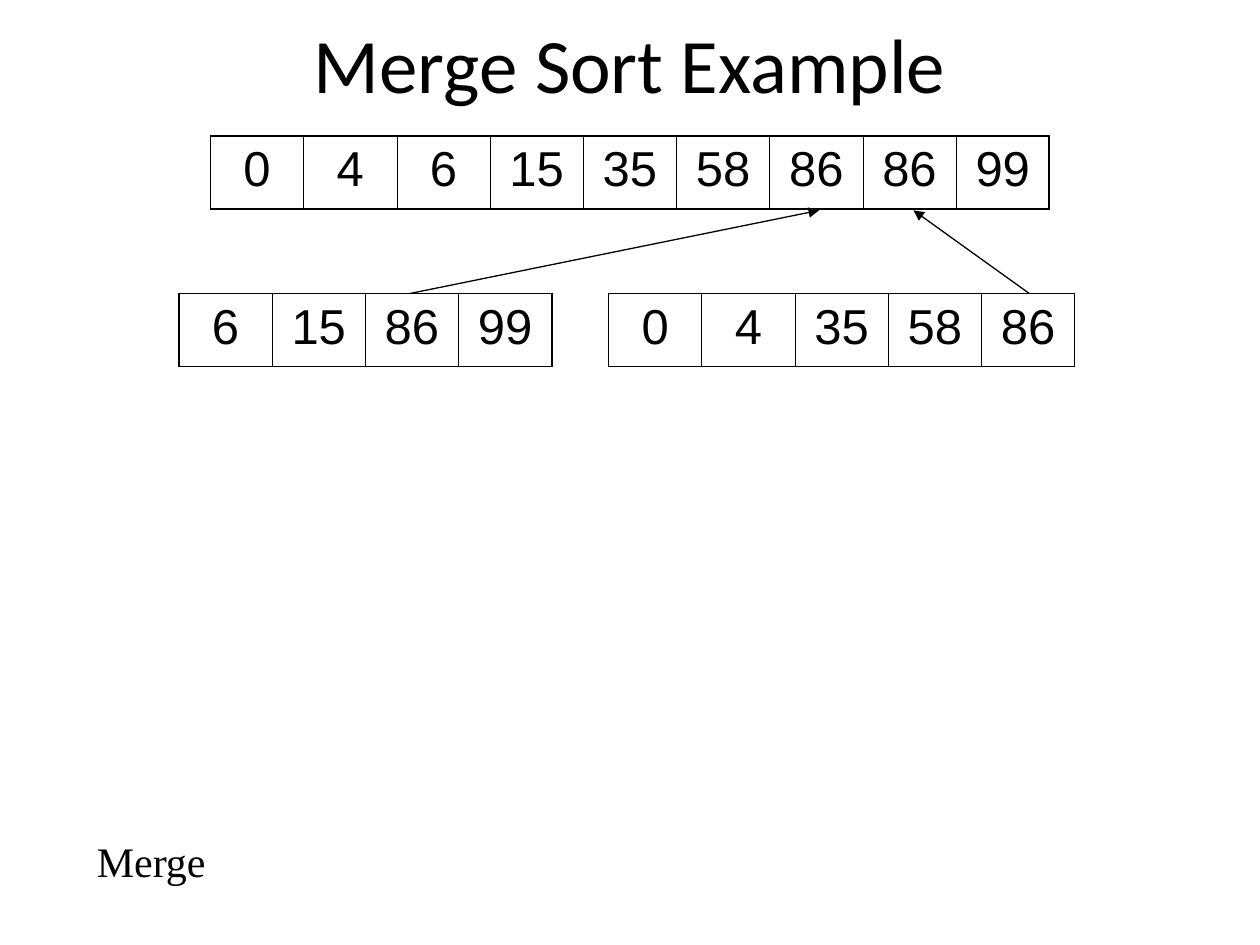
"""Build the merge sort example slide."""
from lxml.etree import SubElement
from pptx import Presentation
from pptx.dml.color import RGBColor
from pptx.enum.shapes import MSO_CONNECTOR
from pptx.enum.text import MSO_ANCHOR, PP_ALIGN
from pptx.oxml.ns import qn
from pptx.util import Inches, Pt

COLORS = {"ink": "000000"}
TITLE = "Merge Sort Example"
STEP = "Merge"
ARRAYS = [
    (1.67, 1.08, [0, 4, 6, 15, 35, 58, 86, 86, 99]),
    (1.42, 2.33, [6, 15, 86, 99]),
    (4.83, 2.33, [0, 4, 35, 58, 86]),
]
ARROWS = [((3.25, 2.33), (6.5, 1.67)), ((8.17, 2.33), (7.25, 1.67))]
CELL_WIDTH, CELL_HEIGHT = 0.74, 0.58
THIN, THICK = 0.45, 1.08


def write(frame, text, font, size, align):
    para = frame.paragraphs[0]
    para.alignment = align
    span = para.add_run()
    span.text = text
    span.font.name = font
    span.font.size = Pt(size)
    span.font.color.rgb = RGBColor.from_string(COLORS["ink"])


def add_border(cell, side, width):
    line = SubElement(cell._tc.get_or_add_tcPr(), qn(f"a:ln{side}"), w=str(Pt(width)))
    fill = SubElement(line, qn("a:solidFill"))
    SubElement(fill, qn("a:srgbClr"), val=COLORS["ink"])


def add_array(page, left, top, values):
    count = len(values)
    table = page.shapes.add_table(
        1, count, Inches(left), Inches(top),
        Inches(CELL_WIDTH * count), Inches(CELL_HEIGHT),
    ).table
    table.first_row = table.horz_banding = False
    for index, value in enumerate(values):
        table.columns[index].width = Inches(CELL_WIDTH)
        cell = table.cell(0, index)
        write(cell.text_frame, str(value), "Arial", 28, PP_ALIGN.CENTER)
        add_border(cell, "L", THICK if index == 0 else THIN)
        add_border(cell, "R", THICK if index == count - 1 else THIN)
        add_border(cell, "T", THICK)
        add_border(cell, "B", THICK)
        cell.fill.background()


def add_arrow(page, start, end):
    points = [Inches(value) for value in (*start, *end)]
    arrow = page.shapes.add_connector(MSO_CONNECTOR.STRAIGHT, *points)
    arrow.line.color.rgb = RGBColor.from_string(COLORS["ink"])
    arrow.line.width = Pt(0.75)
    SubElement(arrow.line._get_or_add_ln(), qn("a:tailEnd"), type="triangle")
    SubElement(arrow._element.spPr, qn("a:effectLst"))


def main():
    deck = Presentation()
    deck.slide_width, deck.slide_height = Inches(10), Inches(7.5)
    page = deck.slides.add_slide(deck.slide_layouts[5])

    title = page.shapes.title
    title.left, title.top = Inches(0.75), Inches(0)
    title.width, title.height = Inches(8.5), Inches(1)
    title.text_frame.vertical_anchor = MSO_ANCHOR.MIDDLE
    write(title.text_frame, TITLE, "Calibri", 44, PP_ALIGN.CENTER)

    for left, top, values in ARRAYS:
        add_array(page, left, top, values)

    box = page.shapes.add_textbox(Inches(0.67), Inches(6.58), Inches(5.08), Inches(0.5))
    box.text_frame.word_wrap = True
    write(box.text_frame, STEP, "Times New Roman", 24, PP_ALIGN.LEFT)

    for start, end in ARROWS:
        add_arrow(page, start, end)

    deck.save("out.pptx")


if __name__ == "__main__":
    main()
